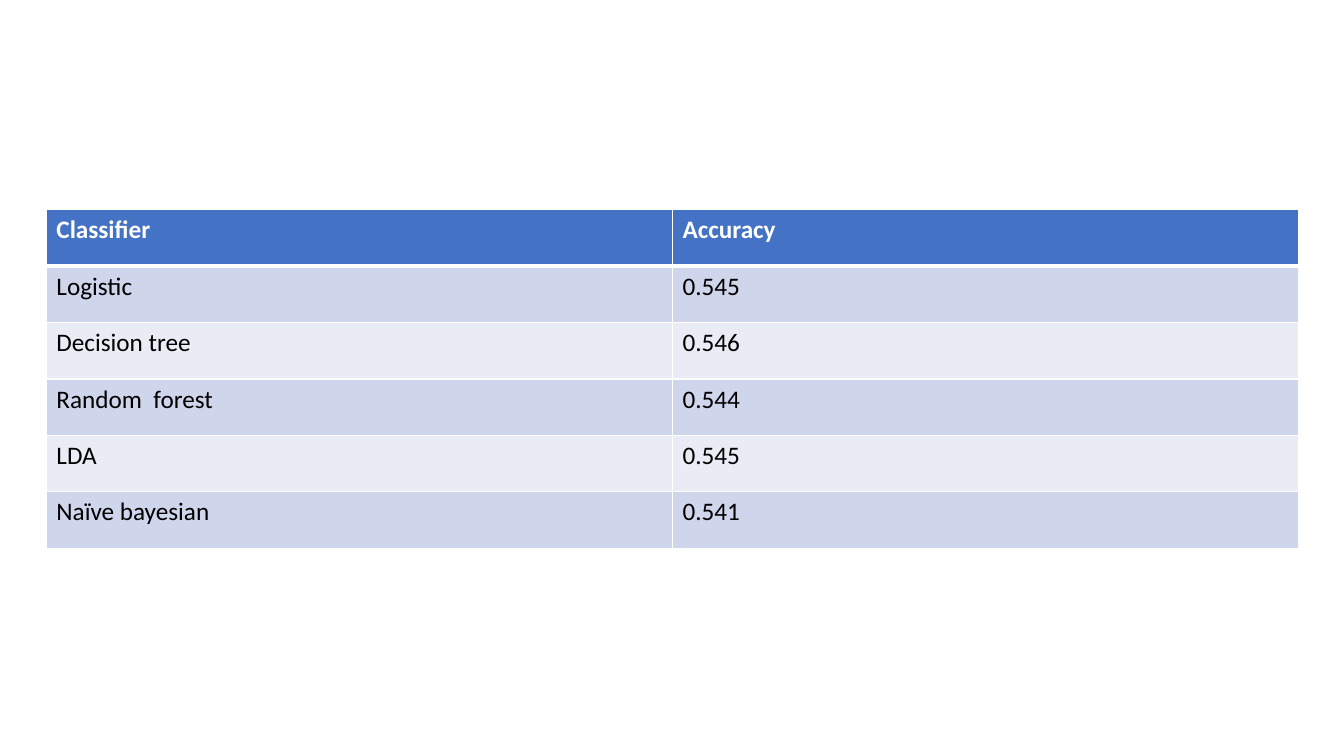
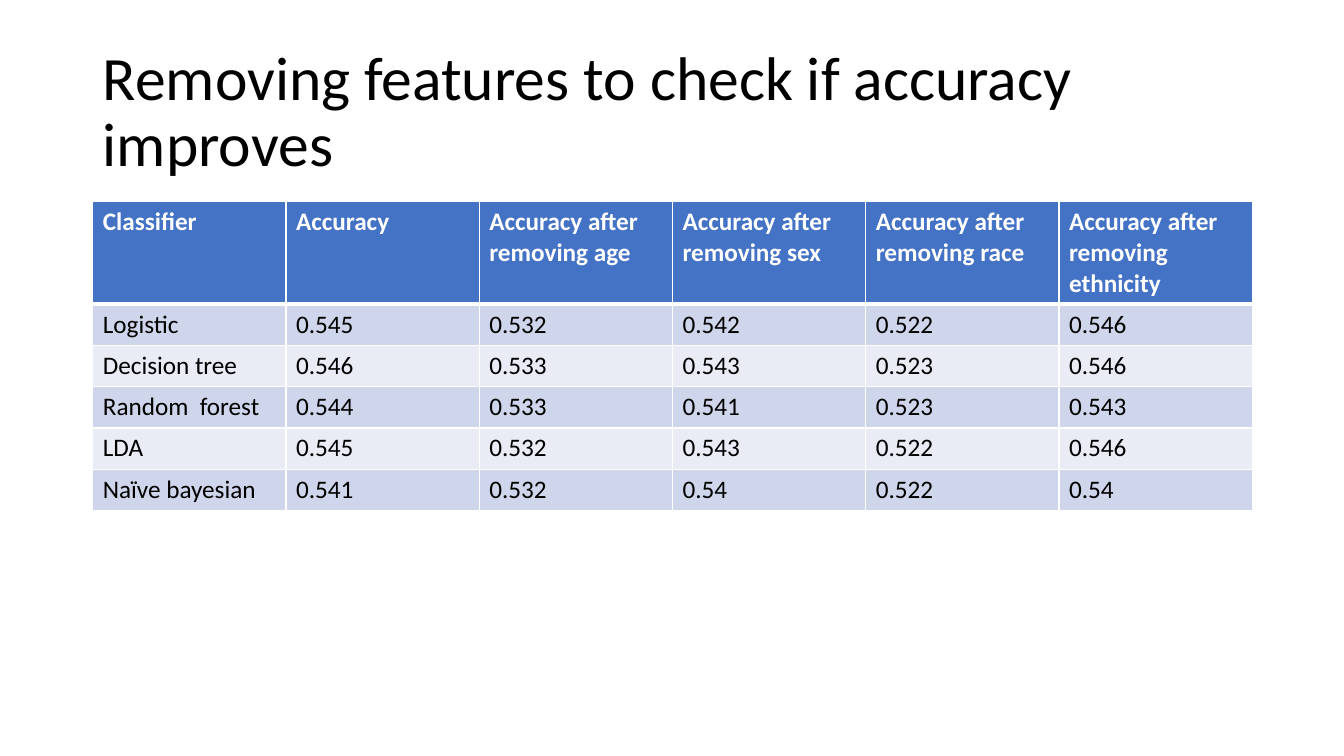
from lxml import etree
from pptx import Presentation
from pptx.dml.color import RGBColor
from pptx.enum.text import MSO_ANCHOR, PP_ALIGN
from pptx.oxml.ns import qn
from pptx.util import Inches, Pt

LEFT = PP_ALIGN.LEFT
MIDDLE = MSO_ANCHOR.MIDDLE

WHITE = RGBColor(0xFF, 0xFF, 0xFF)
BLACK = RGBColor(0x00, 0x00, 0x00)
HEADER_BLUE = RGBColor(0x44, 0x72, 0xC4)
BAND_DARK = RGBColor(0xCF, 0xD5, 0xEA)
BAND_LIGHT = RGBColor(0xE9, 0xEB, 0xF5)

FONT = "Calibri"
TITLE_ONLY, BLANK = 5, 6
THIN, THICK = Pt(1), Pt(3)

BASELINE = [
    ("Classifier", "Accuracy"),
    ("Logistic", "0.545"),
    ("Decision tree", "0.546"),
    ("Random  forest", "0.544"),
    ("LDA", "0.545"),
    ("Naïve bayesian", "0.541"),
]
AFTER_REMOVAL = [
    ("Accuracy after removing age", "Accuracy after removing sex",
     "Accuracy after removing race", "Accuracy after removing ethnicity"),
    ("0.532", "0.542", "0.522", "0.546"),
    ("0.533", "0.543", "0.523", "0.546"),
    ("0.533", "0.541", "0.523", "0.543"),
    ("0.532", "0.543", "0.522", "0.546"),
    ("0.532", "0.54", "0.522", "0.54"),
]


def style_font(font, size, color, bold=False):
    font.name = FONT
    font.size = Pt(size)
    font.color.rgb = color
    font.bold = bold


def set_borders(cell, top, bottom):
    """Draw white cell borders; the sides are always thin."""
    properties = cell._tc.get_or_add_tcPr()
    widths = {"a:lnL": THIN, "a:lnR": THIN, "a:lnT": top, "a:lnB": bottom}
    for position, (tag, width) in enumerate(widths.items()):
        line = etree.Element(qn(tag), w=str(width))
        fill = etree.SubElement(line, qn("a:solidFill"))
        etree.SubElement(fill, qn("a:srgbClr"), val=str(WHITE))
        properties.insert(position, line)


def fill_cell(cell, text, row):
    is_header = row == 0
    cell.text_frame.text = text
    style_font(cell.text_frame.paragraphs[0].runs[0].font, 18,
               WHITE if is_header else BLACK, is_header)
    cell.fill.solid()
    if is_header:
        cell.fill.fore_color.rgb = HEADER_BLUE
    else:
        cell.fill.fore_color.rgb = BAND_DARK if row % 2 else BAND_LIGHT
    set_borders(cell, top=THICK if row == 1 else THIN,
                bottom=THICK if is_header else THIN)


def add_results_table(slide, rows, left, top, width, header_height, row_height):
    height = header_height + row_height * (len(rows) - 1)
    table = slide.shapes.add_table(
        len(rows), len(rows[0]), Inches(left), Inches(top),
        Inches(width), Inches(height)).table
    for row, values in enumerate(rows):
        table.rows[row].height = Inches(row_height if row else header_height)
        for column, value in enumerate(values):
            fill_cell(table.cell(row, column), value, row)


def set_title(slide, text):
    title = slide.shapes.title
    title.left, title.top = Inches(0.92), Inches(0.4)
    title.width, title.height = Inches(11.5), Inches(1.45)
    frame = title.text_frame
    frame.text = text
    frame.word_wrap = True
    frame.vertical_anchor = MIDDLE
    paragraph = frame.paragraphs[0]
    paragraph.alignment = LEFT
    paragraph.line_spacing = 0.9
    style_font(paragraph.runs[0].font, 44, BLACK)


def main():
    deck = Presentation()
    deck.slide_width, deck.slide_height = Inches(13.33), Inches(7.5)

    baseline_slide = deck.slides.add_slide(deck.slide_layouts[BLANK])
    add_results_table(baseline_slide, BASELINE, left=0.46, top=2.08,
                      width=12.42, header_height=0.56, row_height=0.56)

    removal_slide = deck.slides.add_slide(deck.slide_layouts[TITLE_ONLY])
    set_title(removal_slide, "Removing features to check if accuracy improves")
    comparison = [base + after for base, after in zip(BASELINE, AFTER_REMOVAL)]
    add_results_table(removal_slide, comparison, left=0.92, top=2,
                      width=11.5, header_height=1, row_height=0.41)

    deck.save("out.pptx")


if __name__ == "__main__":
    main()
